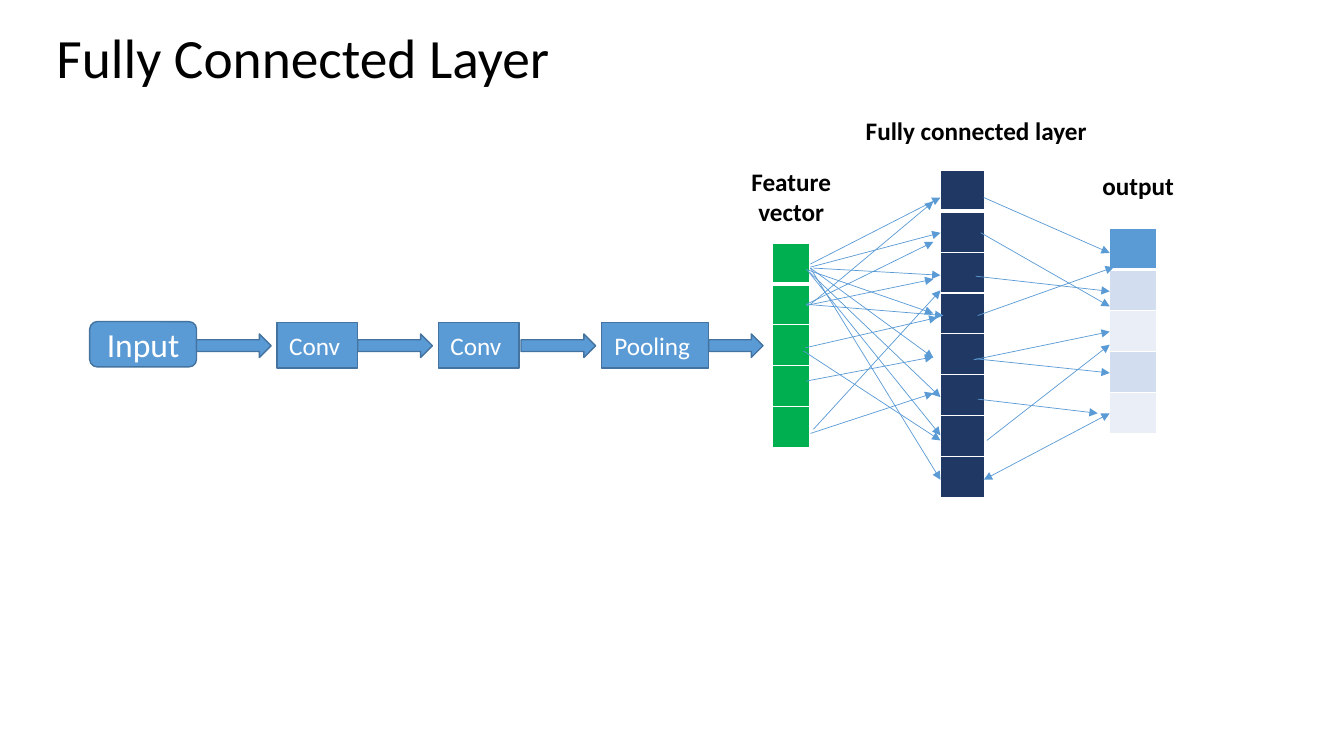
from pptx import Presentation
from pptx.dml.color import RGBColor
from pptx.enum.shapes import MSO_CONNECTOR as Connector, MSO_SHAPE as Shape
from pptx.enum.text import MSO_ANCHOR as Anchor, MSO_AUTO_SIZE as AutoSize, PP_ALIGN as Align
from pptx.oxml.ns import qn
from pptx.util import Pt
from lxml.etree import SubElement

FONT = "Calibri"
COLORS = {
    "black": "000000", "white": "FFFFFF", "blue": "5B9BD5", "outline": "43739E",
    "green": "00B050", "navy": "203864", "pale": "D2DEEF", "paler": "EAEFF7",
}
ROW_HEIGHT = 29.2

# Pipeline steps: preset, left, top, width, height, label, text size
STEPS = [
    (Shape.ROUNDED_RECTANGLE, 64.1, 229.7, 76.3, 32.4, "Input", 24),
    (Shape.RECTANGLE, 198, 230.4, 57.6, 32.4, "Conv ", 18),
    (Shape.RECTANGLE, 313.2, 230.4, 57.6, 32.4, "Conv ", 18),
    (Shape.RECTANGLE, 429.8, 230.4, 76.3, 32.4, "Pooling ", 18),
]
# Block arrows between the steps: left, width
STEP_ARROWS = [(140.4, 53.3), (255.6, 53.3), (372.2, 53.3), (506.2, 38.9)]

# Layers: left, top, width, cell colours
LAYERS = [
    (551.5, 173.5, 26.6, ["green"] * 5),
    (671.8, 121.7, 31.4, ["navy"] * 8),
    (792.7, 163.4, 33.8, ["blue", "pale", "paler", "pale", "paler"]),
]
# Layer labels: left, top, width, height, lines
LABELS = [
    (529.2, 115.2, 72, 51.1, ["Feature", "vector"]),
    (610.6, 78.5, 173.5, 28.8, ["Fully connected layer"]),
    (779.8, 118.1, 66.2, 28.8, ["output"]),
]

# Links between cells: start x, start y, end x, end y
FEATURE_LINKS = [
    (578.9, 188.6, 671.8, 141.1), (578.9, 190.8, 671.8, 166.3),
    (578.9, 191.5, 671.8, 342.7), (578.9, 191.5, 666.7, 255.6),
    (581, 191.5, 671.8, 196.6), (577.4, 193, 666.7, 223.9),
    (578.2, 194.4, 671.8, 283.7), (576, 192.2, 671.8, 311),
    (578.9, 217.4, 666.7, 144), (576, 217.4, 666.7, 172.8),
    (576, 218.2, 666.7, 199.4), (576, 217.4, 673.9, 225.4),
    (578.9, 309.6, 666.7, 280.8), (581, 306.7, 671.8, 207.4),
    (576, 272.2, 666.7, 254.9), (575.3, 248.4, 669.6, 226.8),
    (573.8, 250.6, 671.8, 314.6),
]
OUTPUT_LINKS = [
    (702.7, 141.1, 792.7, 180.7), (695.5, 257, 792.7, 236.9),
    (697, 197.3, 792.7, 208.1), (704.9, 314.6, 792.7, 246.2),
    (700.6, 166.3, 792.7, 218.9), (698.4, 225.4, 795.6, 190.8),
    (698.4, 285.1, 784.1, 295.2), (697, 256.3, 792.7, 266.4),
]
TWO_WAY_LINK = (702.7, 342.7, 792.7, 295.2)


def color(name):
    return RGBColor.from_string(COLORS[name])


def write(frame, *lines, size, fill="black", bold=False, align=Align.CENTER,
          anchor=Anchor.MIDDLE, wrap=True, spacing=None):
    frame.word_wrap = wrap
    frame.auto_size = AutoSize.NONE
    frame.vertical_anchor = anchor
    for index, line in enumerate(lines):
        para = frame.add_paragraph() if index else frame.paragraphs[0]
        para.alignment = align
        if spacing:
            para.line_spacing = spacing
        span = para.add_run()
        span.text = line
        span.font.name = FONT
        span.font.size = Pt(size)
        span.font.bold = bold
        span.font.color.rgb = color(fill)


def add_block(page, preset, left, top, width, height):
    block = page.shapes.add_shape(preset, Pt(left), Pt(top), Pt(width), Pt(height))
    block.shadow.inherit = False
    block.fill.solid()
    block.fill.fore_color.rgb = color("blue")
    block.line.color.rgb = color("outline")
    block.line.width = Pt(1)
    return block


def add_label(page, left, top, width, height, lines):
    box = page.shapes.add_textbox(Pt(left), Pt(top), Pt(width), Pt(height))
    write(box.text_frame, *lines, size=18, bold=True, anchor=Anchor.TOP, wrap=False)


def set_border(cell, side, width):
    line = SubElement(cell._tc.get_or_add_tcPr(), qn(f"a:ln{side}"), w=str(Pt(width)))
    fill = SubElement(line, qn("a:solidFill"))
    SubElement(fill, qn("a:srgbClr"), val=COLORS["white"])


def add_layer(page, left, top, width, fills):
    table = page.shapes.add_table(len(fills), 1, Pt(left), Pt(top), Pt(width),
                                  Pt(ROW_HEIGHT * len(fills))).table
    table.first_row = table.horz_banding = False
    table.columns[0].width = Pt(width)
    for index, fill in enumerate(fills):
        table.rows[index].height = Pt(ROW_HEIGHT)
        cell = table.cell(index, 0)
        # The rule under the first cell is thicker
        widths = {"L": 1, "R": 1, "T": 3 if index == 1 else 1, "B": 3 if index == 0 else 1}
        for side, weight in widths.items():
            set_border(cell, side, weight)
        cell.fill.solid()
        cell.fill.fore_color.rgb = color(fill)


def add_link(page, start_x, start_y, end_x, end_y, ends=("tailEnd",)):
    link = page.shapes.add_connector(Connector.STRAIGHT, Pt(start_x), Pt(start_y),
                                     Pt(end_x), Pt(end_y))
    link.line.color.rgb = color("blue")
    link.line.width = Pt(0.5)
    for end in ends:
        SubElement(link.line._get_or_add_ln(), qn(f"a:{end}"), type="triangle")
    SubElement(link._element.spPr, qn("a:effectLst"))


def main():
    deck = Presentation()
    deck.slide_width, deck.slide_height = Pt(960), Pt(540)
    page = deck.slides.add_slide(deck.slide_layouts[5])

    # Title
    title = page.shapes.title
    title.left, title.top, title.width, title.height = Pt(33.1), Pt(23), Pt(828), Pt(41)
    write(title.text_frame, "Fully Connected Layer", size=39.6, align=Align.LEFT, spacing=0.9)

    # Pipeline
    for preset, left, top, width, height, label, size in STEPS:
        step = add_block(page, preset, left, top, width, height)
        write(step.text_frame, label, size=size, fill="white")
    for left, width in STEP_ARROWS:
        add_block(page, Shape.RIGHT_ARROW, left, 238.5, width, 16.8)

    # Layers and their labels
    for layer in LAYERS:
        add_layer(page, *layer)
    for label in LABELS:
        add_label(page, *label)

    # Links
    for link in FEATURE_LINKS + OUTPUT_LINKS:
        add_link(page, *link)
    add_link(page, *TWO_WAY_LINK, ends=("headEnd", "tailEnd"))

    deck.save("out.pptx")


if __name__ == "__main__":
    main()
